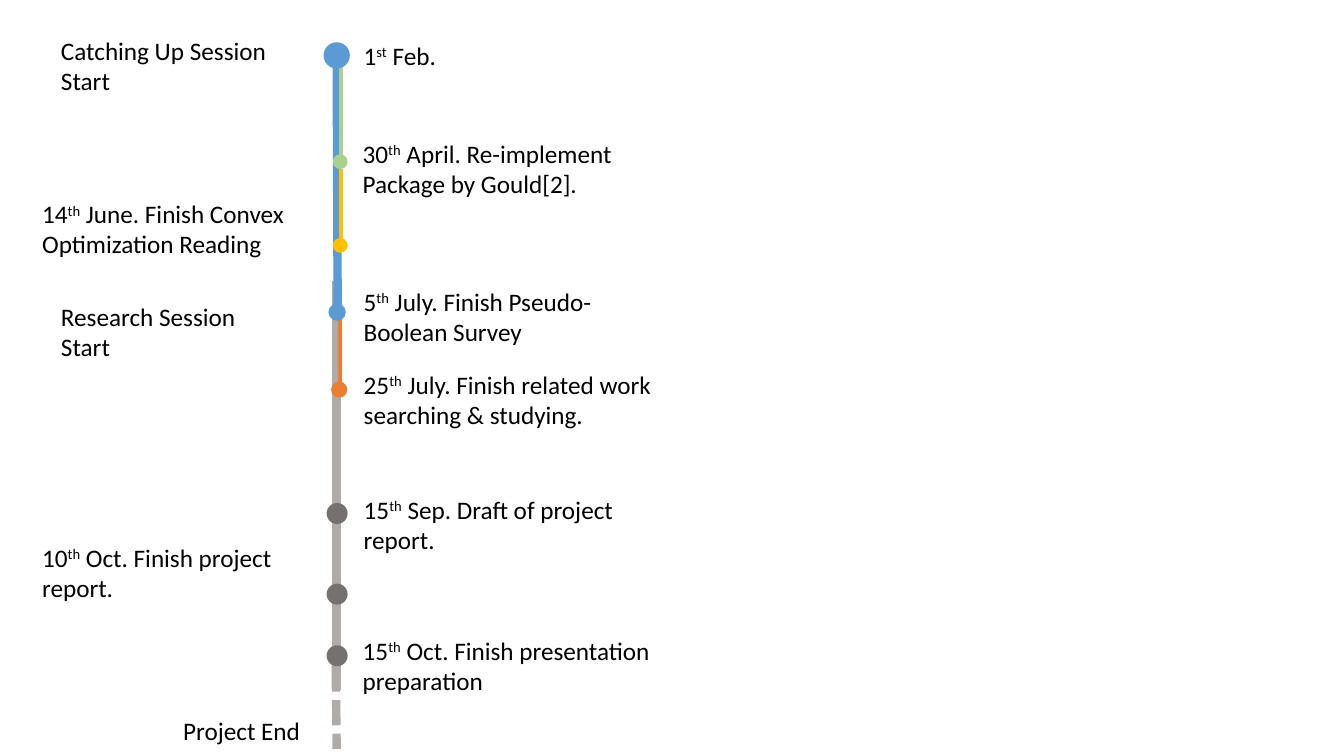
import pptx
import pptx.util
import pptx.dml.color
import pptx.enum.dml
import pptx.enum.shapes
import pptx.enum.text
import pptx.oxml.ns
import lxml.etree

Pt = pptx.util.Pt
COLORS = {
    "catch_up": "5B9BD5", "package": "A9D18E", "reading": "FFC000",
    "related_work": "ED7D31", "research": "AFABAB", "report": "767171",
    "text": "000000",
}

deck = pptx.Presentation()
deck.slide_width, deck.slide_height = Pt(960), Pt(540)
slide = deck.slides.add_slide(deck.slide_layouts[6])


def rgb(name):
    """Return the named colour as an RGBColor."""
    return pptx.dml.color.RGBColor.from_string(COLORS[name])


def add_label(text, left, top, width, height=51, wrap=True, size=18, font="Calibri"):
    """Add a label; parts between carets are superscript, newlines start paragraphs."""
    label = slide.shapes.add_textbox(Pt(left), Pt(top), Pt(width), Pt(height))
    frame = label.text_frame
    frame.word_wrap = wrap
    frame.auto_size = pptx.enum.text.MSO_AUTO_SIZE.SHAPE_TO_FIT_TEXT
    for number, line in enumerate(text.split("\n")):
        paragraph = frame.add_paragraph() if number else frame.paragraphs[0]
        for position, part in enumerate(line.split("^")):
            run = paragraph.add_run()
            run.text = part
            run.font.size = Pt(size)
            run.font.name = font
            run.font.color.rgb = rgb("text")
            if position % 2:
                run.font._element.set("baseline", "30000")


# Spans of the timeline: colour, start x, start y, end x, end y, weight, dashed
spans = [
    ("research", 240.5, 201, 240.5, 493, 6, False),
    ("related_work", 242.6, 225.4, 242.6, 278, 3, False),
    ("catch_up", 240.5, 39.6, 241.2, 224, 6, False),
    ("package", 243.4, 46.8, 243.4, 113.8, 3, False),
    ("reading", 243.4, 121, 243.4, 173.5, 3, False),
    ("research", 239.8, 476, 240.5, 535, 6, True),
]
for color, x1, y1, x2, y2, weight, dashed in spans:
    span = slide.shapes.add_connector(
        pptx.enum.shapes.MSO_CONNECTOR.STRAIGHT, Pt(x1), Pt(y1), Pt(x2), Pt(y2))
    span.line.color.rgb = rgb(color)
    span.line.width = Pt(weight)
    if dashed:
        # The enum member SQUARE_DOT is written as sysDot, so set sysDash directly
        span.line.dash_style = pptx.enum.dml.MSO_LINE.DASH
        span.line._ln.find(pptx.oxml.ns.qn("a:prstDash")).set("val", "sysDash")
    lxml.etree.SubElement(span._element.spPr, pptx.oxml.ns.qn("a:effectLst"))

# Milestones: colour, centre x, centre y, diameter
milestones = [
    ("catch_up", 240.5, 39.6, 18.8),
    ("package", 243, 115.5, 10.6),
    ("reading", 243, 175.3, 10.6),
    ("catch_up", 240.8, 223, 12.4),
    ("related_work", 242.3, 278.3, 11.6),
    ("report", 240.8, 366.8, 15),
    ("report", 240.8, 424.4, 15),
    ("report", 240.8, 468.4, 15),
]
for color, x, y, diameter in milestones:
    milestone = slide.shapes.add_shape(
        pptx.enum.shapes.MSO_SHAPE.OVAL, Pt(x - diameter / 2), Pt(y - diameter / 2),
        Pt(diameter), Pt(diameter))
    milestone.shadow.inherit = False
    milestone.fill.solid()
    milestone.fill.fore_color.rgb = rgb(color)
    milestone.line.fill.background()

# Sessions and dates left of the timeline
add_label("Catching Up Session Start", 36.5, 21.6, 196)
add_label("14^th^ June. Finish Convex Optimization Reading", 23, 138.2, 270)
add_label("Research Session\nStart", 36.5, 211.7, 196)
add_label("10^th^ Oct. Finish project report.", 23, 383.8, 222.5)
add_label("Project End", 123.8, 507.6, 170, height=29)

# Dates right of the timeline
add_label("1^st^ Feb. ", 252.7, 25.2, 72, height=29, wrap=False)
add_label("30^th^ April. Re-implement\nPackage by Gould[2]. ", 252, 95, 196)
add_label("5^th^ July. Finish Pseudo-Boolean Survey", 252.7, 200.9, 222.5)
add_label("25^th^ July. Finish related work searching & studying.", 252.7, 259.9, 255.6)
add_label("15^th^ Sep. Draft of project report. ", 252.7, 349.2, 222.5)
add_label("15^th^ Oct. Finish presentation preparation", 252, 450, 222.5)

deck.save("out.pptx")
